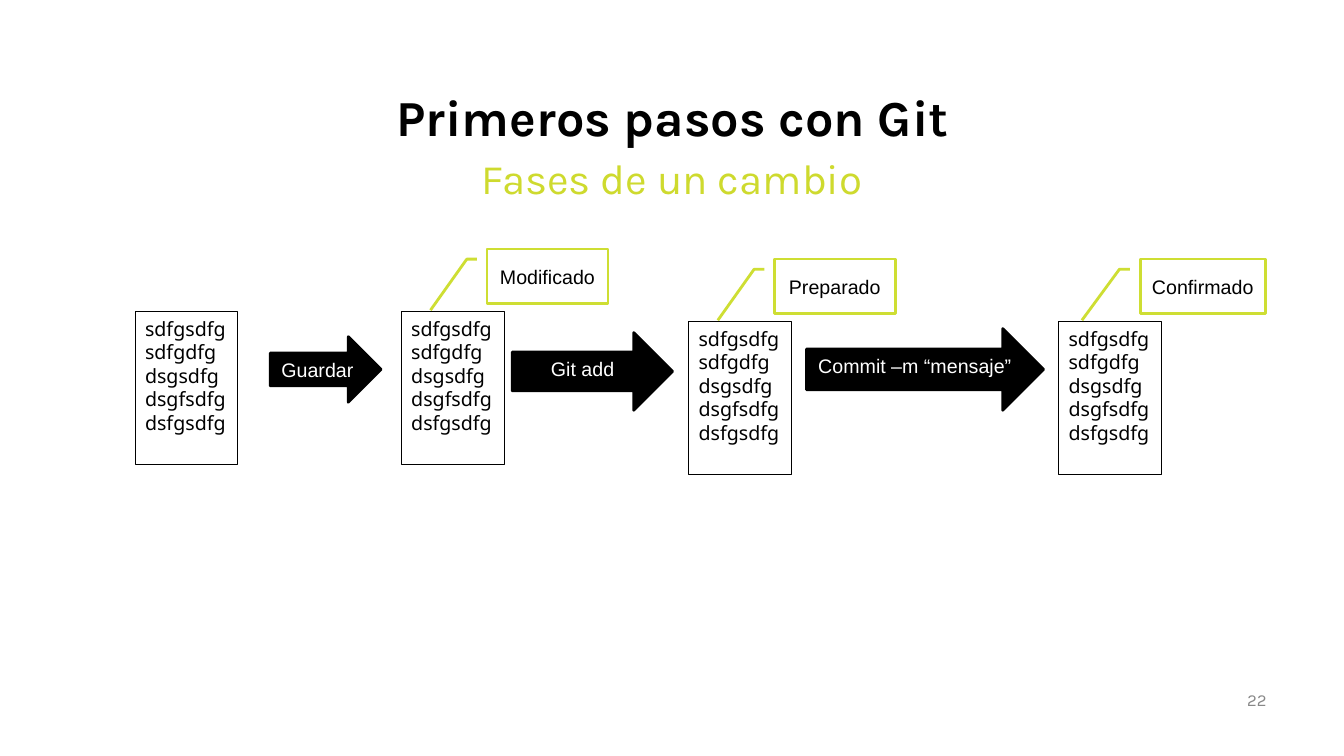
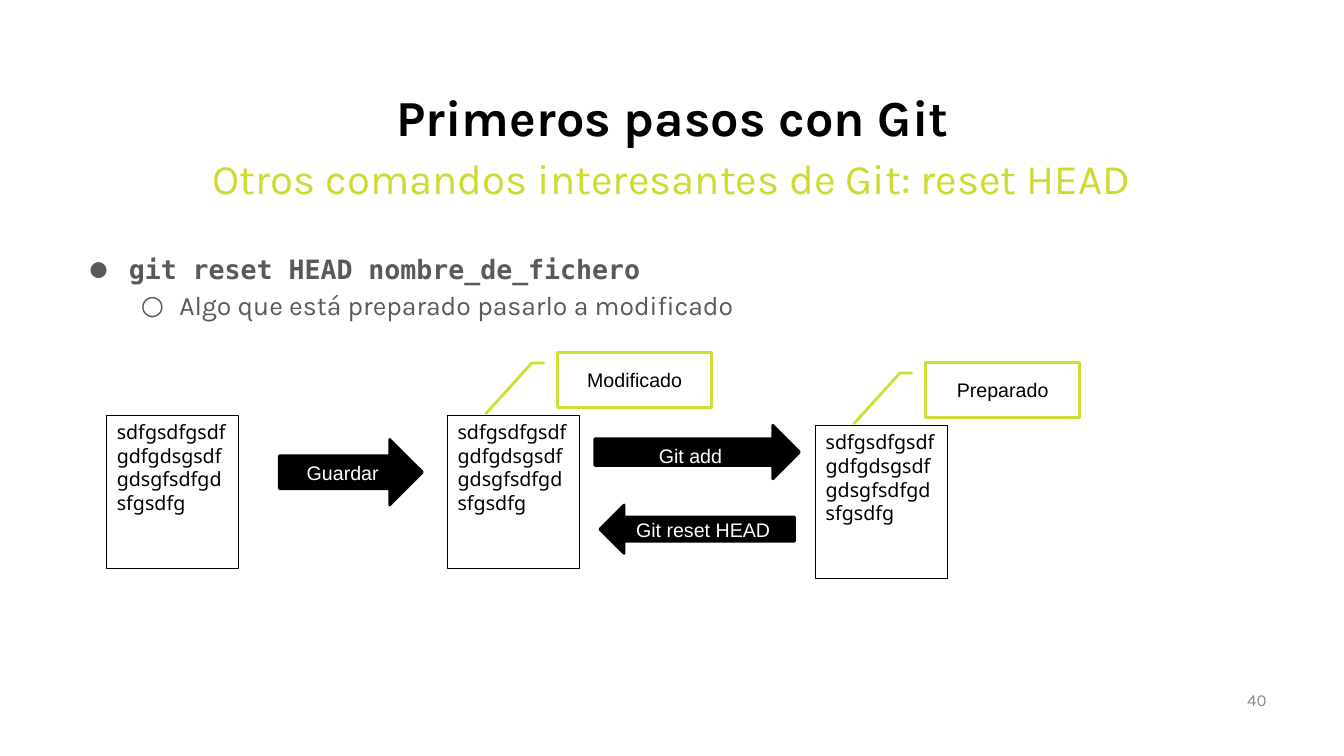
import pptx
import pptx.util
import pptx.dml.color
import pptx.enum.shapes
import pptx.enum.text
import pptx.oxml
import pptx.oxml.ns

Inches, Pt = pptx.util.Inches, pptx.util.Pt
SHAPE = pptx.enum.shapes.MSO_SHAPE
ALIGN = pptx.enum.text.PP_ALIGN
ANCHOR = pptx.enum.text.MSO_ANCHOR

COLORS = {"black": "000000", "white": "FFFFFF", "lime": "CEDA2E",
          "callout": "CEDE33", "body": "595959", "number": "888888"}
SHEET_TEXT = "sdfgsdfgsdfgdfgdsgsdfgdsgfsdfgdsfgsdfg"
SHEET_HEIGHT = 1.52
CALLOUT_HEIGHT, CALLOUT_RISE = 0.54, 0.62


def rgb(name):
    return pptx.dml.color.RGBColor.from_string(COLORS[name])


def add_text(s, box, text, size, font, color, align=ALIGN.CENTER, anchor=ANCHOR.MIDDLE,
             bold=False, kind=None, fill=None, line=None, width=0.75):
    """Add a text box, or a preset shape if kind is given, holding one run."""
    at = [Inches(v) for v in box]
    if kind is None:
        sp = s.shapes.add_textbox(*at)
    else:
        sp = s.shapes.add_shape(kind, *at)
        sp.shadow.inherit = False
        if fill:
            sp.fill.solid()
            sp.fill.fore_color.rgb = rgb(fill)
        else:
            sp.fill.background()
        sp.line.color.rgb = rgb(line)
        sp.line.width = Pt(width)
    tf = sp.text_frame
    tf.word_wrap = True
    tf.vertical_anchor = anchor
    p = tf.paragraphs[0]
    p.alignment = align
    r = p.add_run()
    r.text = text
    r.font.size, r.font.name, r.font.bold = Pt(size), font, bold
    r.font.color.rgb = rgb(color)
    return sp


def add_bullet(p, char, font, margin):
    ppr = p._p.get_or_add_pPr()
    ppr.set("marL", str(Inches(margin)))
    ppr.set("indent", str(Inches(-0.38)))
    ns = pptx.oxml.ns.nsdecls("a")
    for xml in (f'<a:buClr {ns}><a:srgbClr val="{COLORS["body"]}"/></a:buClr>',
                f'<a:buFont {ns} typeface="{font}"/>',
                f'<a:buChar {ns} char="{char}"/>'):
        ppr.append(pptx.oxml.parse_xml(xml))


# Sheets: left, top, then callout label, left and width
# Arrows: label, preset, box, anchor
RIGHT, LEFT = SHAPE.RIGHT_ARROW, SHAPE.LEFT_ARROW
slides = [
    {"subtitle": "Fases de un cambio", "number": "22", "sheet_width": 1.02, "bullets": [],
     "sheets": [(1.34, 3.09, None, 0, 0),
                (3.98, 3.09, "Modificado", 4.83, 1.2),
                (6.83, 3.19, "Preparado", 7.68, 1.2),
                (10.5, 3.19, "Confirmado", 11.31, 1.24)],
     "arrows": [("Guardar", RIGHT, (2.68, 3.34, 1.1, 0.65), ANCHOR.MIDDLE),
                ("Git add", RIGHT, (5.08, 3.3, 1.59, 0.77), ANCHOR.TOP),
                ("Commit –m “mensaje”", RIGHT, (8, 3.26, 2.35, 0.81), ANCHOR.TOP)]},
    {"subtitle": "Otros comandos interesantes de Git: reset HEAD", "number": "40",
     "sheet_width": 1.31,
     "bullets": [("git reset HEAD nombre_de_fichero", "DejaVu Sans Mono", True, "●"),
                 ("Algo que está preparado pasarlo a modificado", "Karla", False, "○")],
     "sheets": [(1.06, 4.12, None, 0, 0),
                (4.44, 4.12, "Modificado", 5.53, 1.53),
                (8.09, 4.22, "Preparado", 9.18, 1.53)],
     "arrows": [("Guardar", RIGHT, (2.77, 4.36, 1.42, 0.65), ANCHOR.MIDDLE),
                ("Git add", RIGHT, (5.9, 4.22, 2.03, 0.53), ANCHOR.TOP),
                ("Git reset HEAD", LEFT, (5.95, 5.01, 1.93, 0.48), ANCHOR.MIDDLE)]},
]

prs = pptx.Presentation()
prs.slide_width, prs.slide_height = Inches(13.33), Inches(7.5)

for data in slides:
    s = prs.slides.add_slide(prs.slide_layouts[6])

    # Title, subtitle and slide number
    add_text(s, (0.67, 0.84, 12, 0.63), "Primeros pasos con Git", 36, "Karla", "black",
             bold=True)
    sp = add_text(s, (0.68, 1.46, 11.97, 0.71), data["subtitle"], 30, "Karla", "lime",
                  anchor=ANCHOR.TOP)
    sp.text_frame.paragraphs[0].space_before = Pt(6)
    add_text(s, (9.55, 6.74, 3.11, 0.4), data["number"], 12, "Karla", "number",
             align=ALIGN.RIGHT)

    # Bulleted command
    if data["bullets"]:
        sp = s.shapes.add_textbox(Inches(0.68), Inches(2.41), Inches(11.97), Inches(4.17))
        tf = sp.text_frame
        tf.word_wrap = True
        for level, (text, font, bold, char) in enumerate(data["bullets"]):
            p = tf.add_paragraph() if level else tf.paragraphs[0]
            p.level = level
            p.line_spacing = 1.15
            add_bullet(p, char, font, 0.5 + 0.5 * level)
            r = p.add_run()
            r.text = text
            r.font.size, r.font.name, r.font.bold = Pt(19), font, bold
            r.font.color.rgb = rgb("body")

    # File sheets with their state callouts
    for left, top, state, callout_left, callout_width in data["sheets"]:
        add_text(s, (left, top, data["sheet_width"], SHEET_HEIGHT), SHEET_TEXT, 14,
                 "Noto Sans", "black", align=ALIGN.LEFT, anchor=ANCHOR.TOP,
                 kind=SHAPE.RECTANGLE, line="black")
        if state:
            add_text(s, (callout_left, top - CALLOUT_RISE, callout_width, CALLOUT_HEIGHT),
                     state, 14, "Arial", "black", kind=SHAPE.LINE_CALLOUT_2,
                     fill="white", line="callout", width=2)

    # Command arrows
    for label, kind, box, anchor in data["arrows"]:
        add_text(s, box, label, 14, "Arial", "white", anchor=anchor, kind=kind,
                 fill="black", line="black", width=2)

prs.save("out.pptx")
